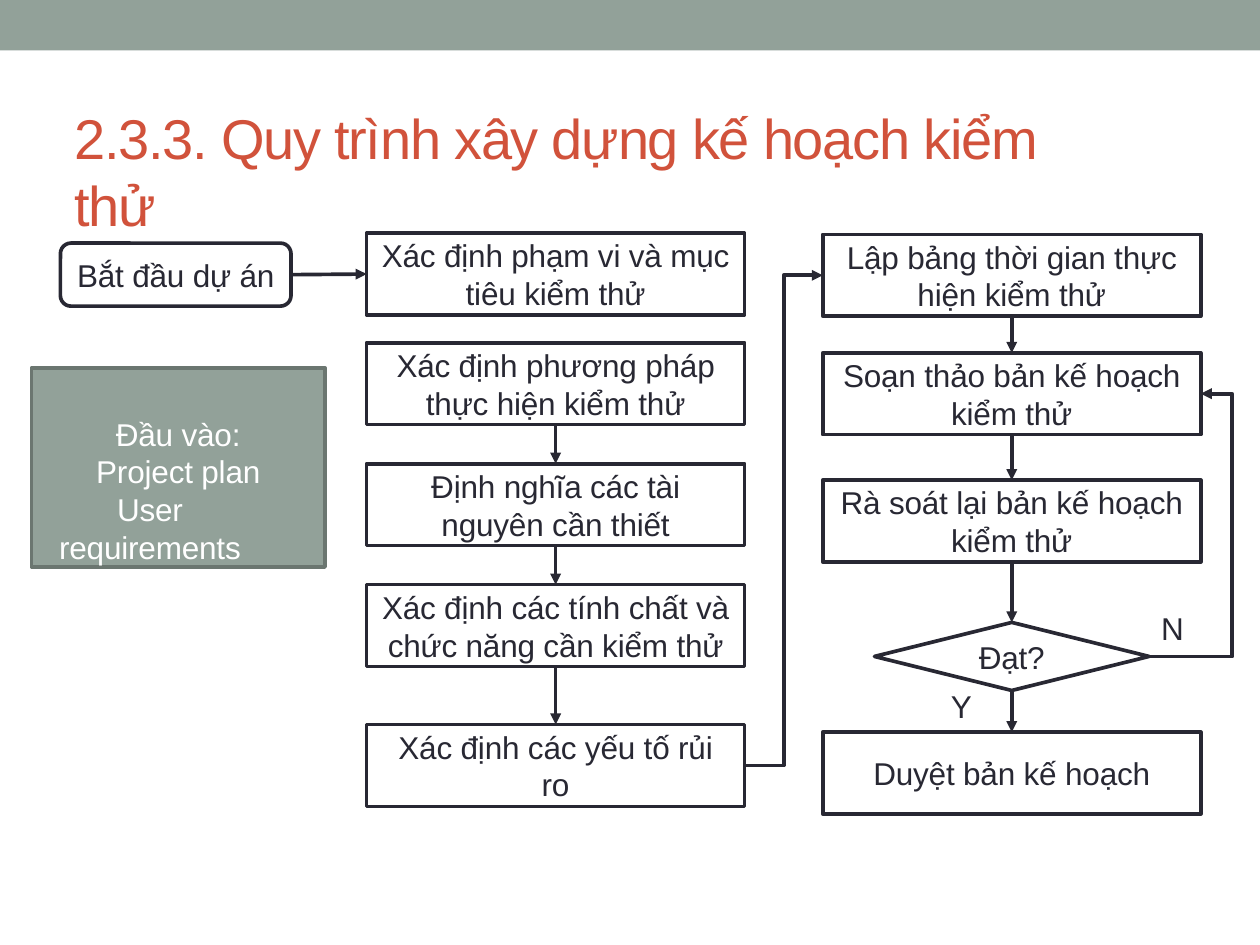
from dataclasses import dataclass

from lxml import etree
from pptx import Presentation
from pptx import util as u
from pptx.dml.color import RGBColor
from pptx.enum import shapes, text
from pptx.oxml.ns import qn


@dataclass(frozen=True)
class Theme:
    font: str = "Arial"
    ink: RGBColor = RGBColor(0x28, 0x28, 0x33)
    accent: RGBColor = RGBColor(0xD1, 0x52, 0x3B)
    sage: RGBColor = RGBColor(0x92, 0xA1, 0x99)
    sage_dark: RGBColor = RGBColor(0x6B, 0x76, 0x70)
    white: RGBColor = RGBColor(0xFF, 0xFF, 0xFF)
    title_size: u.Pt = u.Pt(32)
    body_size: u.Pt = u.Pt(18)
    line_width: u.Pt = u.Pt(2.1)


THEME = Theme()
STEP_WIDTH, STEP_HEIGHT = 3, 0.65
TOP, LEFT, BOTTOM, RIGHT = range(4)


def apply_format(target, values):
    for name, value in values.items():
        setattr(target, name, value)


def inches(box):
    return [u.Inches(value) for value in box]


def write(shape, paragraphs, color=THEME.ink, size=THEME.body_size, spacing=-10,
          align=text.PP_ALIGN.CENTER, **frame_format):
    frame = shape.text_frame
    frame.text = "\n".join(paragraphs)
    apply_format(frame, {
        "margin_left": 0, "margin_right": 0, "margin_top": 0, "margin_bottom": 0,
        "word_wrap": True, "auto_size": text.MSO_AUTO_SIZE.NONE,
        "vertical_anchor": text.MSO_ANCHOR.MIDDLE, **frame_format,
    })
    for paragraph in frame.paragraphs:
        paragraph.alignment = align
        for run in paragraph.runs:
            apply_format(run.font, {"name": THEME.font, "size": size, "bold": False})
            run.font.color.rgb = color
            run.font._element.set("spc", str(spacing))


def add_box(slide, kind, box, fill=None, line=None):
    shape = slide.shapes.add_shape(kind, *inches(box))
    shape.shadow.inherit = False
    if fill is None:
        shape.fill.background()
    else:
        shape.fill.solid()
        shape.fill.fore_color.rgb = fill
    if line is None:
        shape.line.fill.background()
    else:
        apply_format(shape.line, {"width": THEME.line_width})
        shape.line.color.rgb = line
    return shape


def add_arrow(slide, start, start_side, end, end_side,
              kind=shapes.MSO_CONNECTOR.STRAIGHT, bend=None):
    connector = slide.shapes.add_connector(kind, 0, 0, 0, 0)
    connector.begin_connect(start, start_side)
    connector.end_connect(end, end_side)
    connector.line.width = THEME.line_width
    connector.line.color.rgb = THEME.ink
    properties = connector._element.spPr
    line = properties.find(qn("a:ln"))
    etree.SubElement(line, qn("a:tailEnd"), type="triangle", w="med", len="med")
    etree.SubElement(properties, qn("a:effectLst"))
    if bend is not None:
        guides = properties.find(qn("a:prstGeom")).find(qn("a:avLst"))
        etree.SubElement(guides, qn("a:gd"), name="adj1", fmla=f"val {bend}")


def add_header(slide, box):
    add_box(slide, shapes.MSO_SHAPE.RECTANGLE, (0, 0, 10, 0.4), THEME.sage)
    title = slide.shapes.title
    apply_format(title, dict(zip(("left", "top", "width", "height"), inches(box))))
    write(title, ["2.3.3. Quy trình xây dựng kế hoạch kiểm thử"], THEME.accent,
          THEME.title_size, -75, text.PP_ALIGN.LEFT,
          vertical_anchor=text.MSO_ANCHOR.TOP, margin_top=u.Inches(0.02))


def add_start(slide, box):
    start = add_box(slide, shapes.MSO_SHAPE.ROUNDED_RECTANGLE, box, line=THEME.ink)
    write(start, ["Bắt đầu dự án"])
    return start


def add_steps(slide, left, steps):
    boxes = []
    for top, label in steps:
        step = add_box(slide, shapes.MSO_SHAPE.RECTANGLE,
                       (left, top, STEP_WIDTH, STEP_HEIGHT), line=THEME.ink)
        write(step, [label])
        boxes.append(step)
    return boxes


def add_decision(slide, box):
    decision = add_box(slide, shapes.MSO_SHAPE.DIAMOND, box, line=THEME.ink)
    write(decision, ["Đạt?"])
    return decision


def add_branch_label(slide, box, label):
    write(slide.shapes.add_textbox(*inches(box)), [label], spacing=0, word_wrap=False)


def add_inputs(slide, box):
    panel = add_box(slide, shapes.MSO_SHAPE.RECTANGLE, box, THEME.sage, THEME.sage_dark)
    offset = u.Inches(0.45)
    write(panel, ["Đầu vào:\vProject plan", "User requirements"], THEME.white,
          vertical_anchor=text.MSO_ANCHOR.TOP, margin_top=u.Inches(0.37),
          margin_right=offset)
    first = panel.text_frame.paragraphs[0]
    first._p.get_or_add_pPr().set("marL", str(offset))


def add_flow(slide):
    start = add_start(slide, (0.48, 1.93, 1.83, 0.5))
    analysis = add_steps(slide, 2.91, [
        (1.85, "Xác định phạm vi và mục\vtiêu kiểm thử"),
        (2.72, "Xác định phương pháp\vthực hiện kiểm thử"),
        (3.68, "Định nghĩa các tài\vnguyên cần thiết"),
        (4.64, "Xác định các tính chất và\vchức năng cần kiểm thử"),
        (5.75, "Xác định các yếu tố rủi\vro"),
    ])
    schedule, draft, review, approval = add_steps(slide, 6.53, [
        (1.86, "Lập bảng thời gian thực\vhiện kiểm thử"),
        (2.8, "Soạn thảo bản kế hoạch\vkiểm thử"),
        (3.81, "Rà soát lại bản kế hoạch\vkiểm thử"),
        (5.81, "Duyệt bản kế hoạch"),
    ])
    decision = add_decision(slide, (6.94, 4.94, 2.18, 0.54))

    add_arrow(slide, start, RIGHT, analysis[0], LEFT)
    for chain in (analysis[1:], [schedule, draft, review, decision, approval]):
        for upper, lower in zip(chain, chain[1:]):
            add_arrow(slide, upper, BOTTOM, lower, TOP)
    elbow = shapes.MSO_CONNECTOR.ELBOW
    add_arrow(slide, analysis[-1], RIGHT, schedule, LEFT, elbow)
    add_arrow(slide, decision, RIGHT, draft, RIGHT, elbow, bend=161000)

    add_branch_label(slide, (7.53, 5.44, 0.2, 0.33), "Y")
    add_branch_label(slide, (9.2, 4.82, 0.21, 0.33), "N")


def main():
    presentation = Presentation()
    apply_format(presentation, {"slide_width": u.Inches(10), "slide_height": u.Inches(7.5)})
    slide = presentation.slides.add_slide(presentation.slide_layouts[5])
    add_header(slide, (0.59, 0.8, 8.31, 0.56))
    add_flow(slide)
    add_inputs(slide, (0.25, 2.92, 2.33, 1.58))
    presentation.save("out.pptx")


if __name__ == "__main__":
    main()
